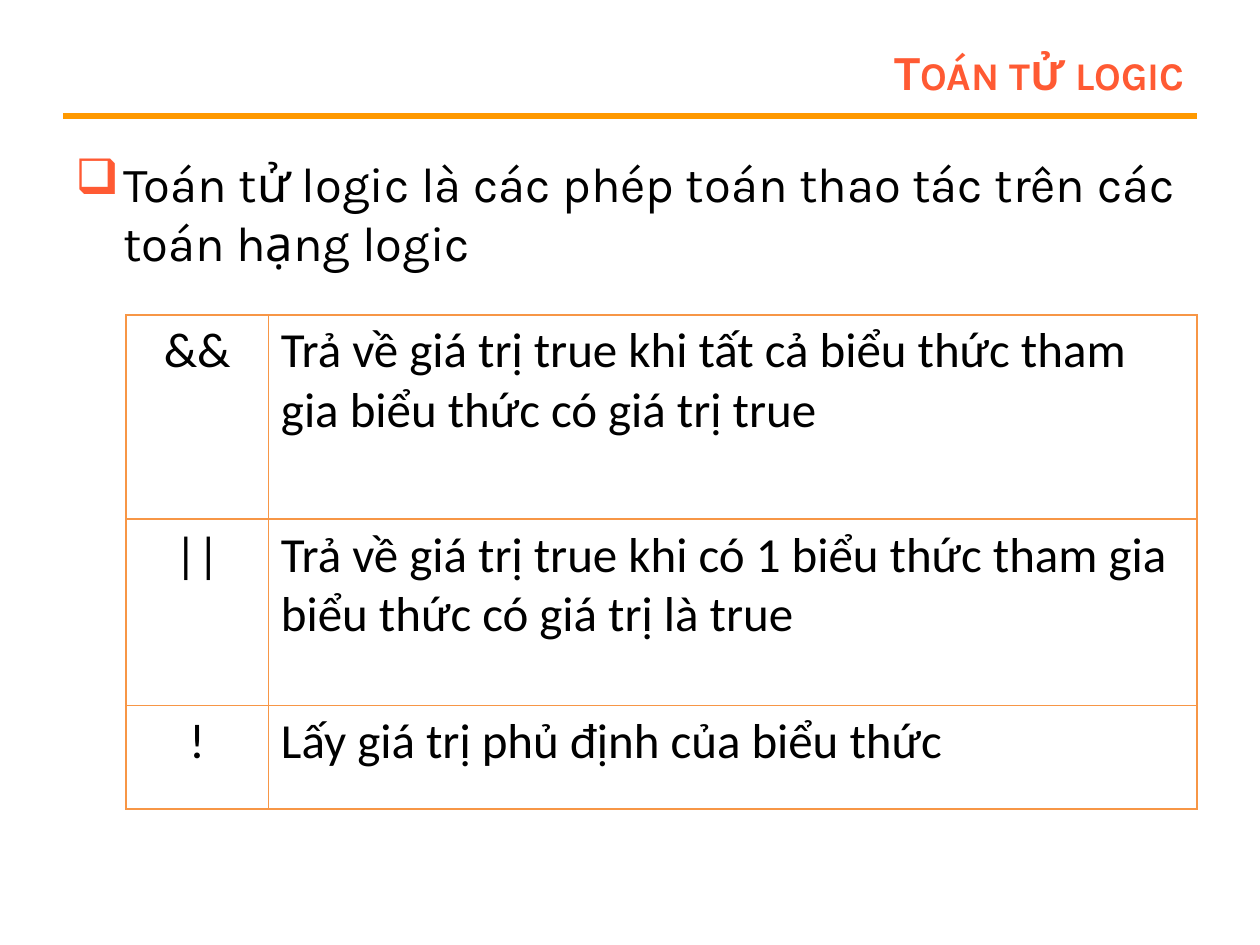
from typing import NamedTuple

from lxml.etree import SubElement
from pptx import Presentation
from pptx.dml.color import RGBColor
from pptx.enum.shapes import MSO_CONNECTOR
from pptx.enum.text import MSO_ANCHOR, PP_ALIGN as Align
from pptx.oxml.ns import qn
from pptx.util import Inches, Pt

BLACK = RGBColor(0x00, 0x00, 0x00)
CORAL = RGBColor(0xFF, 0x5A, 0x33)
AMBER = RGBColor(0xFF, 0x99, 0x00)
ORANGE = RGBColor(0xF7, 0x96, 0x46)
TEXT_SIZE = Pt(28)
WIDTH, HEIGHT = Inches(10), Inches(7.5)
MARGIN = WIDTH // 20
RIGHT = WIDTH - MARGIN


class Operator(NamedTuple):
    symbol: str
    meaning: str
    row_height: float


OPERATORS = [
    Operator("&&", "Trả về giá trị true khi tất cả biểu thức tham gia biểu thức có giá trị true", 1.62),
    Operator("||", "Trả về giá trị true khi có 1 biểu thức tham gia biểu thức có giá trị là true", 1.48),
    Operator("!", "Lấy giá trị phủ định của biểu thức", 0.82),
]


def style(paragraph, font_name: str, color: RGBColor, align: Align) -> None:
    paragraph.alignment = align
    font = paragraph.font
    font.name, font.size = font_name, TEXT_SIZE
    font.color.rgb = color


def add_text(slide, text: str, left: int, top: float, height: float):
    """Add a text box that reaches the right margin."""
    shape = slide.shapes.add_textbox(left, Inches(top), RIGHT - left, Inches(height))
    shape.text_frame.word_wrap = True
    paragraph = shape.text_frame.paragraphs[0]
    paragraph.text = text
    return shape, paragraph


def add_bullet(paragraph, character: str, color: RGBColor, indent: int) -> None:
    properties = paragraph._p.get_or_add_pPr()
    properties.set("marL", str(indent))
    properties.set("indent", str(-indent))
    bullet_color = SubElement(properties, qn("a:buClr"))
    SubElement(bullet_color, qn("a:srgbClr"), val=str(color))
    SubElement(properties, qn("a:buChar"), char=character)


def add_borders(cell, color: RGBColor, width: int) -> None:
    properties = cell._tc.get_or_add_tcPr()
    for side in "LRTB":
        line = SubElement(properties, qn(f"a:ln{side}"), w=str(width))
        fill = SubElement(line, qn("a:solidFill"))
        SubElement(fill, qn("a:srgbClr"), val=str(color))


def fill_cell(cell, text: str, align: Align) -> None:
    add_borders(cell, ORANGE, Pt(1))
    cell.fill.background()
    cell.text = text
    style(cell.text_frame.paragraphs[0], "Calibri", BLACK, align)


def add_operator_table(slide, operators: list[Operator]) -> None:
    left = 2 * MARGIN
    width = RIGHT - left
    height = Inches(sum(operator.row_height for operator in operators))
    table = slide.shapes.add_table(len(operators), 2, left, HEIGHT // 3, width, height).table
    table.first_row = table.horz_banding = False
    table.columns[0].width = Inches(1.13)
    table.columns[1].width = width - Inches(1.13)
    for index, operator in enumerate(operators):
        table.rows[index].height = Inches(operator.row_height)
        fill_cell(table.cell(index, 0), operator.symbol, Align.CENTER)
        fill_cell(table.cell(index, 1), operator.meaning, Align.LEFT)


def main() -> None:
    presentation = Presentation()
    presentation.slide_width, presentation.slide_height = WIDTH, HEIGHT
    slide = presentation.slides.add_slide(presentation.slide_layouts[6])

    # Rule under the title
    rule_top = Inches(0.92)
    rule = slide.shapes.add_connector(MSO_CONNECTOR.STRAIGHT, MARGIN, rule_top, RIGHT, rule_top)
    rule.line.color.rgb = AMBER
    rule.line.width = Pt(3)
    SubElement(rule._element.spPr, qn("a:effectLst"))

    # Title in small capitals
    title, paragraph = add_text(slide, "Toán tử logic", Inches(2.25), 0.3, 0.53)
    title.text_frame.vertical_anchor = MSO_ANCHOR.MIDDLE
    style(paragraph, "Karla", CORAL, Align.RIGHT)
    paragraph.font.bold = True
    paragraph.runs[0].font._element.set("cap", "small")

    # Definition
    _, paragraph = add_text(
        slide, "Toán tử logic là các phép toán thao tác trên các toán hạng logic", MARGIN, 1.17, 1.17)
    paragraph.space_before = Pt(5.6)
    add_bullet(paragraph, "❑", CORAL, Inches(0.38))
    style(paragraph, "Karla", BLACK, Align.LEFT)

    # Operators and their meanings
    add_operator_table(slide, OPERATORS)

    presentation.save("out.pptx")


if __name__ == "__main__":
    main()
